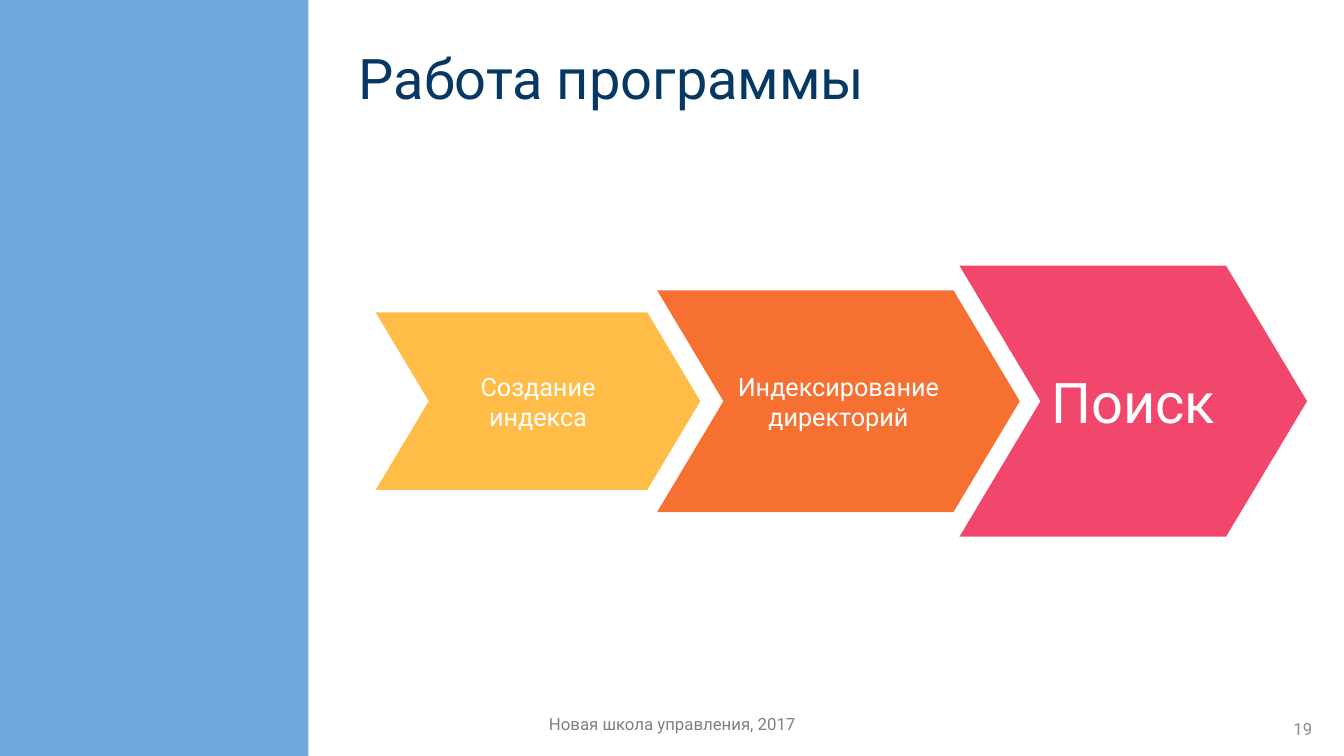
from lxml.etree import SubElement
from pptx import Presentation
from pptx.dml.color import RGBColor
from pptx.enum.shapes import MSO_SHAPE as Preset
from pptx.enum.text import MSO_ANCHOR as Anchor, PP_ALIGN as Align
from pptx.oxml.ns import qn
from pptx.util import Cm, Pt

THEME = {
    "font": "Roboto",
    "colors": {
        "background": "6FA8DC", "panel": "FFFFFF", "title": "073763",
        "footer": "808080", "number": "8C8C8C", "step": "FFFFFF",
        "create": "FFA400", "index": "F67031", "search": "ED0036",
    },
    "sizes": {"title": 40, "footer": 12, "step": 18, "final": 40},
}
SLIDE_WIDTH, SLIDE_HEIGHT = 33.87, 19.05
PANEL_LEFT = 7.77
STEPS_MIDDLE = 10.11
CHEVRON_POINT = 0.299

TEXTS = [
    {"text": "Работа программы", "box": (8.71, 0.33, 24.61, 3.45), "size": "title",
     "color": "title", "inset": (0.33, 0.33), "anchor": Anchor.MIDDLE,
     "paragraph": {"alignment": Align.LEFT, "line_spacing": 0.9}},
    {"text": "Новая школа управления, 2017", "box": (11.23, 17.86, 11.43, 1.02),
     "size": "footer", "color": "footer", "inset": (0.25, 0.13), "anchor": Anchor.TOP,
     "paragraph": {"alignment": Align.CENTER}},
    {"text": "19", "box": (25.7, 17.86, 7.62, 1.02), "size": "footer", "color": "number",
     "inset": (0.25, 0.25), "anchor": Anchor.TOP, "paragraph": {"alignment": Align.RIGHT}},
]
STEPS = [
    {"text": "Создание индекса", "left": 9.47, "width": 8.18, "height": 4.47,
     "fill": "create", "opacity": 72, "size": "step"},
    {"text": "Индексирование директорий", "left": 16.56, "width": 9.14, "height": 5.59,
     "fill": "index", "opacity": 100, "size": "step"},
    {"text": "Поиск", "left": 24.18, "width": 8.76, "height": 6.83,
     "fill": "search", "opacity": 72, "size": "final"},
]


def theme_color(name):
    return RGBColor.from_string(THEME["colors"][name])


def apply_format(target, values):
    for name, value in values.items():
        setattr(target, name, value)


def write_text(shape, text, size, color, inset, anchor, paragraph_format):
    side, top = (Cm(length) for length in inset)
    frame = shape.text_frame
    apply_format(frame, {
        "word_wrap": True, "vertical_anchor": anchor,
        "margin_left": side, "margin_right": side,
        "margin_top": top, "margin_bottom": top,
    })
    paragraph = frame.paragraphs[0]
    apply_format(paragraph, paragraph_format)
    run = paragraph.add_run()
    run.text = text
    apply_format(run.font, {"name": THEME["font"], "size": Pt(THEME["sizes"][size])})
    run.font.color.rgb = theme_color(color)


def add_filled_shape(slide, preset, box, color, opacity=100):
    shape = slide.shapes.add_shape(preset, *map(Cm, box))
    shape.shadow.inherit = False
    shape.line.fill.background()
    shape.fill.solid()
    shape.fill.fore_color.rgb = theme_color(color)
    if opacity < 100:
        color_element = shape._element.spPr.find(qn("a:solidFill"))[0]
        SubElement(color_element, qn("a:alpha"), val=str(opacity * 1000))
    return shape


def add_step(slide, step):
    box = (step["left"], STEPS_MIDDLE - step["height"] / 2, step["width"], step["height"])
    chevron = add_filled_shape(slide, Preset.CHEVRON, box, step["fill"], step["opacity"])
    chevron.adjustments[0] = CHEVRON_POINT
    write_text(chevron, step["text"], step["size"], "step", (0.25, 0.25),
               Anchor.MIDDLE, {"alignment": Align.CENTER})


def main():
    presentation = Presentation()
    apply_format(presentation, {"slide_width": Cm(SLIDE_WIDTH), "slide_height": Cm(SLIDE_HEIGHT)})
    slide = presentation.slides.add_slide(presentation.slide_layouts[6])
    slide.background.fill.solid()
    slide.background.fill.fore_color.rgb = theme_color("background")
    add_filled_shape(slide, Preset.RECTANGLE,
                     (PANEL_LEFT, 0, SLIDE_WIDTH - PANEL_LEFT, SLIDE_HEIGHT), "panel")
    for item in TEXTS:
        box = slide.shapes.add_textbox(*map(Cm, item["box"]))
        write_text(box, item["text"], item["size"], item["color"], item["inset"],
                   item["anchor"], item["paragraph"])
    for step in STEPS:
        add_step(slide, step)
    presentation.save("out.pptx")


if __name__ == "__main__":
    main()
